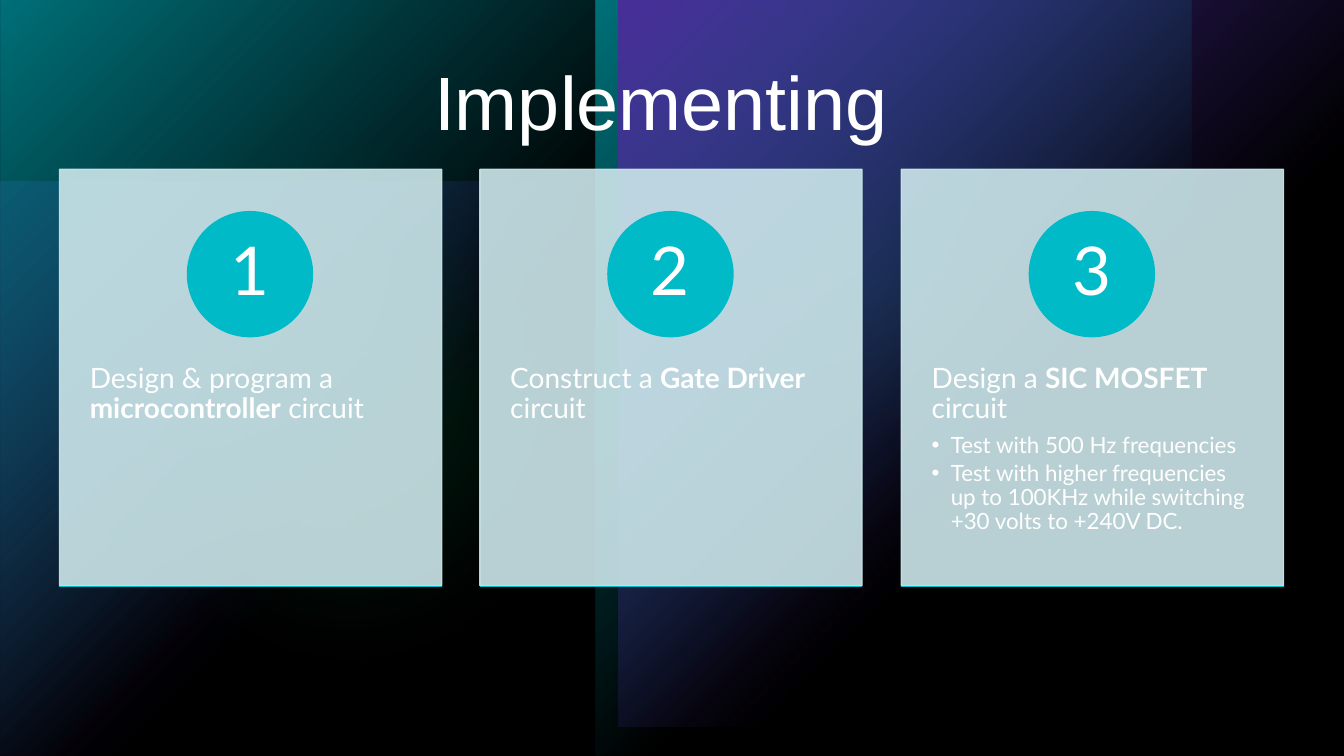
from dataclasses import dataclass

from lxml.etree import SubElement
from pptx import Presentation
from pptx.dml.color import RGBColor
from pptx.enum.shapes import MSO_CONNECTOR, MSO_SHAPE
from pptx.enum.text import MSO_ANCHOR, MSO_AUTO_SIZE, PP_ALIGN
from pptx.oxml import parse_xml
from pptx.oxml.ns import nsdecls, qn
from pptx.shapes.autoshape import Shape
from pptx.slide import Slide
from pptx.text.text import TextFrame
from pptx.util import Emu, Pt

PX = 9144  # 100 px to the inch
PAGE_WIDTH, PAGE_HEIGHT = 1333, 750
CARD_LEFT, CARD_TOP, CARD_WIDTH, CARD_HEIGHT = 59, 168, 379, 413
CARD_RIGHT_EDGE = 1273
BADGE_TOP, BADGE_SIZE = 210, 124
BODY_TOP, BODY_HEIGHT = 325, 248
RULE_TOP = 582

BLACK = RGBColor(0x00, 0x00, 0x00)
WHITE = RGBColor(0xFF, 0xFF, 0xFF)
TEAL = RGBColor(0x00, 0xBA, 0xC8)
VIOLET = RGBColor(0x79, 0x4D, 0xFF)
GREEN = RGBColor(0x00, 0xD1, 0x7D)
PALE = RGBColor(0xCC, 0xE7, 0xEB)


@dataclass(frozen=True)
class Glow:
    kind: MSO_SHAPE
    left: int
    top: int
    width: int
    height: int
    color: RGBColor
    opacity: int = 100
    rotation: int = 0
    flips: str = "V"


@dataclass(frozen=True)
class Card:
    before: str
    strong: str
    after: str
    bullets: tuple[str, ...] = ()


GLOWS = (
    Glow(MSO_SHAPE.RECTANGLE, 0, 180, 571, 571, VIOLET, 60),
    Glow(MSO_SHAPE.OVAL, 629, 43, 472, 472, GREEN, 60),
    Glow(MSO_SHAPE.OVAL, 0, 56, 694, 694, GREEN, 20),
    Glow(MSO_SHAPE.RECTANGLE, 0, 0, 591, 750, TEAL, rotation=180),
    Glow(MSO_SHAPE.RECTANGLE, 591, 0, 591, 750, TEAL, rotation=180, flips="HV"),
    Glow(MSO_SHAPE.RECTANGLE, 613, 0, 721, 721, VIOLET, rotation=180),
)
CARDS = (
    Card("Design & program a ", "microcontroller", " circuit"),
    Card("Construct a ", "Gate Driver ", "circuit"),
    Card("Design a ", "SIC MOSFET ", "circuit", (
        "Test with 500 Hz frequencies",
        "Test with higher frequencies up to 100KHz while switching +30 volts to +240V DC.",
    )),
)


def px(*lengths: int) -> list[Emu]:
    return [Emu(length * PX) for length in lengths]


def add_plain(page: Slide, kind: MSO_SHAPE, left: int, top: int, width: int, height: int,
              color: RGBColor, opacity: int = 100, outlined: bool = False) -> Shape:
    """Add a shape of one colour, with a matching outline if asked for."""
    shape = page.shapes.add_shape(kind, *px(left, top, width, height))
    shape.shadow.inherit = False
    shape.fill.solid()
    shape.fill.fore_color.rgb = color
    if outlined:
        shape.line.color.rgb = color
        shape.line.width = Pt(1)
    else:
        shape.line.fill.background()
    if opacity < 100:
        for tint in shape.element.spPr.iter(qn("a:srgbClr")):
            SubElement(tint, qn("a:alpha"), val=str(opacity * 1000))
    return shape


def add_glow(page: Slide, glow: Glow) -> None:
    """Add a soft-edged oval, or a rectangle that fades out from one corner."""
    shape = add_plain(page, glow.kind, glow.left, glow.top, glow.width, glow.height,
                      glow.color, glow.opacity)
    shape.rotation = glow.rotation
    properties = shape.element.spPr
    for axis in glow.flips:
        properties.find(qn("a:xfrm")).set(f"flip{axis}", "1")
    if glow.kind == MSO_SHAPE.OVAL:
        SubElement(properties.find(qn("a:effectLst")), qn("a:softEdge"), rad=str(Pt(100)))
        return
    stops = "".join(
        f'<a:gs pos="{place}"><a:srgbClr val="{glow.color}">'
        f'<a:alpha val="{opacity * 1000}"/></a:srgbClr></a:gs>'
        for place, opacity in ((0, glow.opacity), (60000, 0)))
    gradient = parse_xml(
        f'<a:gradFill {nsdecls("a")} rotWithShape="1"><a:gsLst>{stops}</a:gsLst>'
        '<a:path path="circle"><a:fillToRect r="100000" b="100000"/></a:path></a:gradFill>')
    properties.replace(properties.find(qn("a:solidFill")), gradient)


def set_frame(frame: TextFrame, side: int, end: int, anchor: MSO_ANCHOR) -> None:
    frame.word_wrap = True
    frame.auto_size = MSO_AUTO_SIZE.NONE
    frame.vertical_anchor = anchor
    frame.margin_left, frame.margin_right = px(side, side)
    frame.margin_top, frame.margin_bottom = px(end, end)


def format_text(para, size: int, font: str = "Lato") -> None:
    para.line_spacing = 0.9
    for span in para.runs:
        span.font.size = Pt(size)
        span.font.name = font
        span.font.color.rgb = WHITE


def add_bullet(frame: TextFrame, text: str) -> None:
    para = frame.add_paragraph()
    para.text = text
    para.level = 1
    properties = para._p.get_or_add_pPr()
    properties.set("marL", str(19 * PX))
    properties.set("indent", str(-19 * PX))
    SubElement(properties, qn("a:buFont"), typeface="Arial")
    SubElement(properties, qn("a:buChar"), char="•")
    para.space_after = Pt(2.4)
    format_text(para, 16)


def add_card(page: Slide, left: int, number: int, card: Card) -> None:
    add_plain(page, MSO_SHAPE.RECTANGLE, left, CARD_TOP, CARD_WIDTH, CARD_HEIGHT, PALE, 90, True)

    body = page.shapes.add_textbox(*px(left, BODY_TOP, CARD_WIDTH, BODY_HEIGHT)).text_frame
    set_frame(body, 30, 36, MSO_ANCHOR.TOP)
    para = body.paragraphs[0]
    for text in (card.before, card.strong, card.after):
        span = para.add_run()
        span.text = text
        span.font.bold = text == card.strong
    para.space_after = Pt(7)
    format_text(para, 20)
    for bullet in card.bullets:
        add_bullet(body, bullet)

    badge_left = left + (CARD_WIDTH - BADGE_SIZE) // 2
    badge = add_plain(page, MSO_SHAPE.OVAL, badge_left, BADGE_TOP, BADGE_SIZE, BADGE_SIZE,
                      TEAL, outlined=True).text_frame
    set_frame(badge, 0, 1, MSO_ANCHOR.MIDDLE)
    badge.text = str(number)
    badge.paragraphs[0].alignment = PP_ALIGN.CENTER
    format_text(badge.paragraphs[0], 48)

    rule = page.shapes.add_connector(
        MSO_CONNECTOR.STRAIGHT, *px(left, RULE_TOP, left + CARD_WIDTH, RULE_TOP))
    rule.line.color.rgb = TEAL
    rule.line.width = Pt(1)
    SubElement(rule.element.spPr, qn("a:effectLst"))


def place_title(page: Slide, text: str) -> None:
    """Fill the title placeholder and bring it in front of the other shapes."""
    title = page.shapes.title
    title.left, title.top, title.width, title.height = px(59, 59, 1214, 92)
    set_frame(title.text_frame, 10, 5, MSO_ANCHOR.BOTTOM)
    title.text_frame.text = text
    title.text_frame.paragraphs[0].alignment = PP_ALIGN.CENTER
    format_text(title.text_frame.paragraphs[0], 54, "Arial")
    title.element.getparent().append(title.element)


def main() -> None:
    deck = Presentation()
    deck.slide_width, deck.slide_height = px(PAGE_WIDTH, PAGE_HEIGHT)
    page = deck.slides.add_slide(deck.slide_layouts[5])
    page.background.fill.solid()
    page.background.fill.fore_color.rgb = BLACK
    for glow in GLOWS:
        add_glow(page, glow)
    add_plain(page, MSO_SHAPE.RECTANGLE, 0, 0, PAGE_WIDTH, PAGE_HEIGHT, BLACK, 40)
    last_left = CARD_RIGHT_EDGE - CARD_WIDTH
    for index, card in enumerate(CARDS):
        left = CARD_LEFT + index * (last_left - CARD_LEFT) // (len(CARDS) - 1)
        add_card(page, left, index + 1, card)
    place_title(page, "Implementing ")
    deck.save("out.pptx")


if __name__ == "__main__":
    main()
